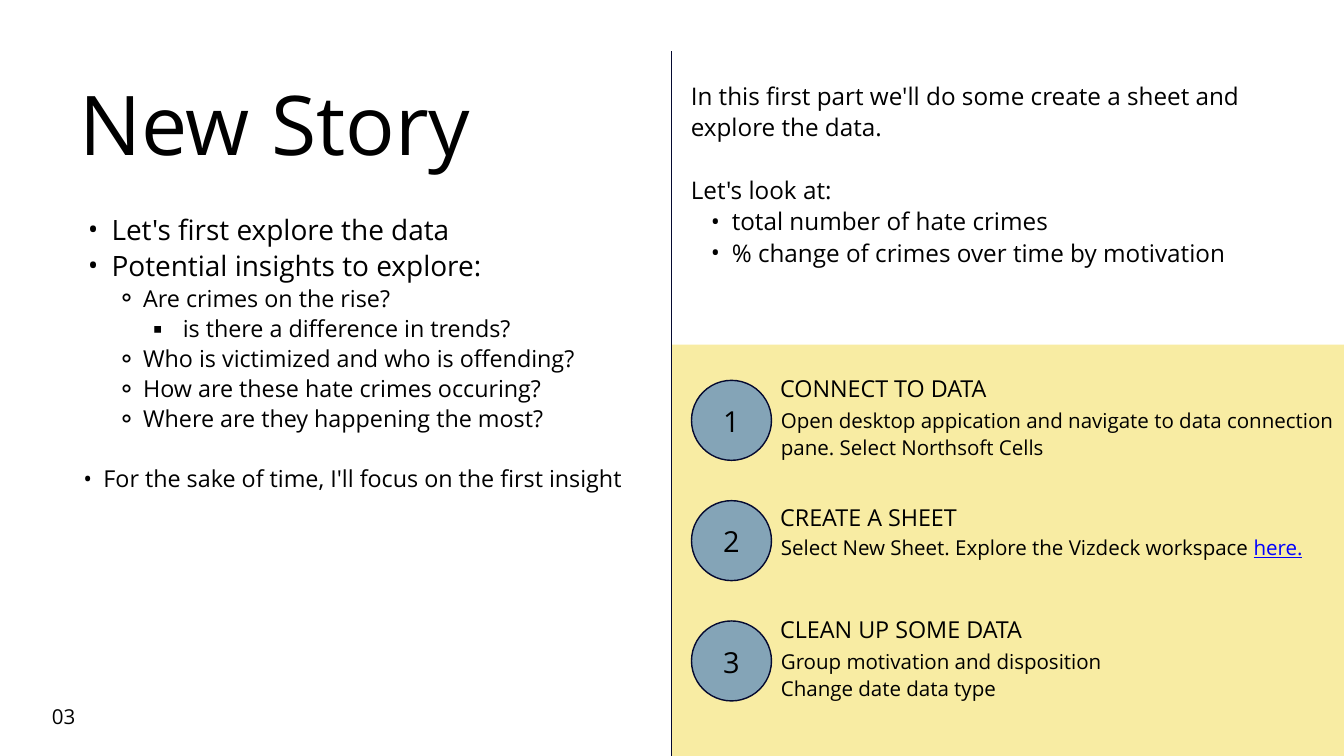
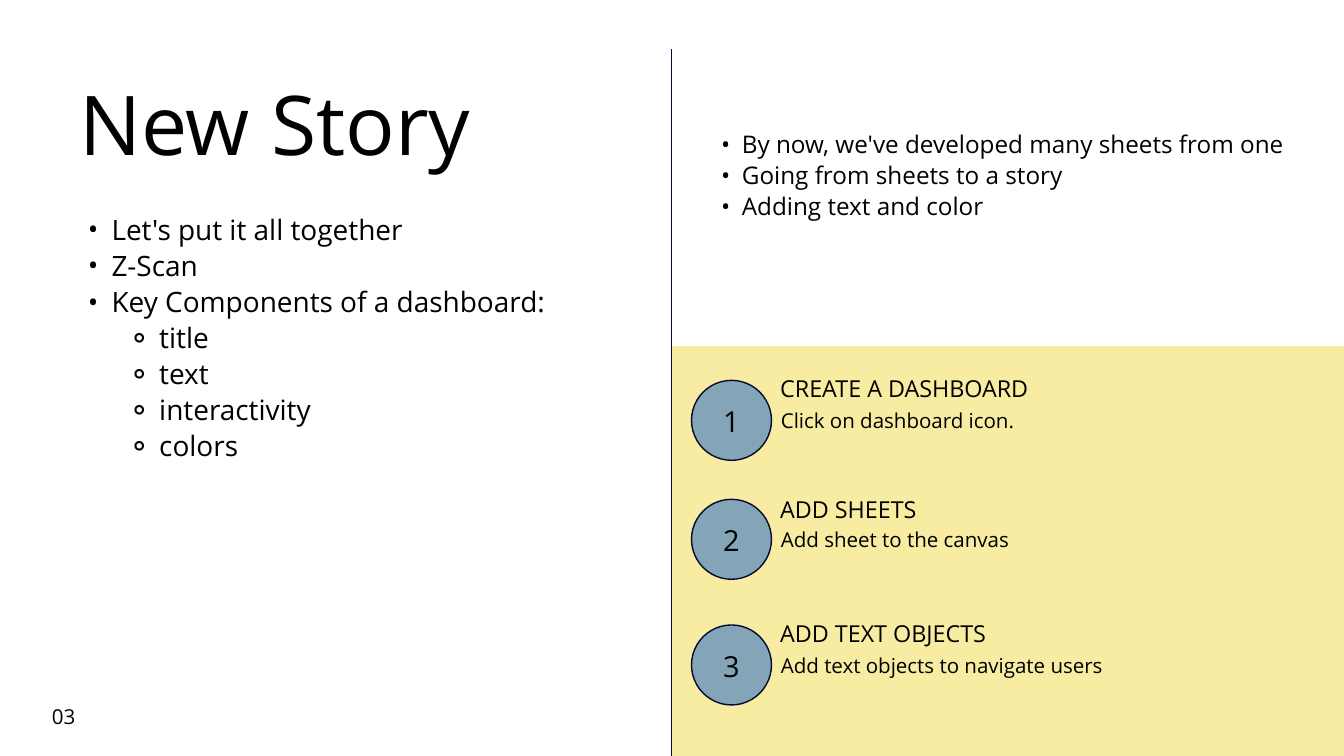
from dataclasses import dataclass

from lxml import etree
from pptx import Presentation
from pptx.dml.color import RGBColor
from pptx.enum.shapes import MSO_CONNECTOR, MSO_SHAPE
from pptx.enum.text import MSO_ANCHOR, MSO_AUTO_SIZE, PP_ALIGN
from pptx.oxml.ns import qn
from pptx.util import Inches, Pt

OVAL, RECTANGLE = MSO_SHAPE.OVAL, MSO_SHAPE.RECTANGLE
STRAIGHT = MSO_CONNECTOR.STRAIGHT
LEFT, CENTER = PP_ALIGN.LEFT, PP_ALIGN.CENTER
MIDDLE = MSO_ANCHOR.MIDDLE
GROW = MSO_AUTO_SIZE.SHAPE_TO_FIT_TEXT

WIDTH, HEIGHT = 20, 11.25
MIDLINE = 10
FONT = "Open Sans"
BLACK, NAVY, BLUE = "000000", "050A30", "84A4B7"
YELLOW, LINK_BLUE = "F8ECA3", "0000FF"


@dataclass
class Style:
    size: float
    spacing: float
    bullet: str = ""
    level: int = 0
    indent: float = 0
    hanging: float = 0
    align: PP_ALIGN = LEFT


TITLE = Style(88.3, 98.9)
POINT = Style(30, 38.7, "•", 1, 0.71, 0.35)
COMPONENT = Style(30, 38.7, "⚬", 2, 1.42, 0.47)
QUESTION = Style(25, 32.2, "⚬", 2, 1.18, 0.39)
FOLLOW_UP = Style(25, 32.2, "▪", 3, 1.77, 0.44)
FOCUS = Style(25, 32.2, "•", 1, 0.59, 0.3)
INTRO = Style(26, 33.5)
INTRO_POINT = Style(26, 33.5, "•", 1, 0.61, 0.31)
STEP_HEADING = Style(25, 32.2)
STEP_DETAIL = Style(22, 28.4)
STEP_NUMBER = Style(31, 43.4, align=CENTER)
PAGE_NUMBER = Style(22, 30.8, align=CENTER)


@dataclass
class Para:
    text: str
    style: Style
    gap: float = 0
    link: str = ""


@dataclass
class Step:
    circle_top: float
    heading_top: float
    detail_top: float
    heading: str
    details: list


def color(value):
    return RGBColor.from_string(value)


def add_run(paragraph, text, size, tint=BLACK, underline=None):
    run = paragraph.add_run()
    run.text = text
    formats = {"name": FONT, "size": Pt(size), "underline": underline}
    for attribute, value in formats.items():
        setattr(run.font, attribute, value)
    run.font.color.rgb = color(tint)


def add_bullet(paragraph, style):
    properties = paragraph._p.get_or_add_pPr()
    properties.set("marL", str(Inches(style.indent)))
    properties.set("indent", str(-Inches(style.hanging)))
    etree.SubElement(properties, qn("a:buFont")).set("typeface", FONT)
    etree.SubElement(properties, qn("a:buChar")).set("char", style.bullet)


def write(frame, paras):
    frame.word_wrap = True
    for index, para in enumerate(paras):
        style = para.style
        paragraph = frame.paragraphs[0] if index == 0 else frame.add_paragraph()
        formats = {
            "alignment": style.align,
            "level": style.level,
            "line_spacing": Pt(style.spacing),
            "space_before": Pt(para.gap),
        }
        for attribute, value in formats.items():
            setattr(paragraph, attribute, value)
        if style.bullet:
            add_bullet(paragraph, style)
        add_run(paragraph, para.text, style.size)
        if para.link:
            add_run(paragraph, para.link, style.size, LINK_BLUE, True)


def set_margins(frame, left=0, top=0, right=0, bottom=0):
    frame.margin_left, frame.margin_right = Inches(left), Inches(right)
    frame.margin_top, frame.margin_bottom = Inches(top), Inches(bottom)


def add_text(slide, left, top, width, height, paras):
    box = slide.shapes.add_textbox(*map(Inches, (left, top, width, height)))
    set_margins(box.text_frame)
    write(box.text_frame, paras)
    box.text_frame.auto_size = GROW


def add_filled(slide, kind, left, top, width, height, fill, outline=None):
    shape = slide.shapes.add_shape(kind, *map(Inches, (left, top, width, height)))
    shape.shadow.inherit = False
    shape.fill.solid()
    shape.fill.fore_color.rgb = color(fill)
    if outline:
        shape.line.color.rgb = color(outline)
        shape.line.width = Pt(1.5)
    else:
        shape.line.fill.background()
    return shape


def add_divider(slide, top):
    ends = map(Inches, (9.99, top, 9.99, HEIGHT))
    divider = slide.shapes.add_connector(STRAIGHT, *ends)
    divider.line.color.rgb = color(NAVY)
    divider.line.width = Pt(0.75)
    etree.SubElement(divider._element.spPr, qn("a:effectLst"))


def add_step(slide, number, step):
    circle = add_filled(slide, OVAL, 10.29, step.circle_top, 1.19, 1.19, BLUE, NAVY)
    frame = circle.text_frame
    set_margins(frame, bottom=0.07)
    frame.vertical_anchor = MIDDLE
    write(frame, [Para(str(number), STEP_NUMBER)])
    add_text(slide, 11.61, step.heading_top, 8.31, 0.44,
             [Para(step.heading, STEP_HEADING)])
    add_text(slide, 11.62, step.detail_top, 8.31, 0.38, step.details)


def add_story(deck, panel_top, divider_top, points, intro_at, intro, steps):
    slide = deck.slides.add_slide(deck.slide_layouts[6])
    # Panel and divider
    add_filled(slide, RECTANGLE, MIDLINE, panel_top, WIDTH - MIDLINE,
               HEIGHT - panel_top, YELLOW)
    add_divider(slide, divider_top)
    # Introduction on the right, title and points on the left
    add_text(slide, *intro_at, intro)
    add_text(slide, 1.18, 1.18, 7.52, 1.41, [Para("New Story", TITLE)])
    add_text(slide, 0.95, 3.12, 8.44, 4.5, points)
    # Page number
    add_text(slide, 0.77, 10.42, 0.35, 0.41, [Para("03", PAGE_NUMBER)])
    # Numbered steps
    for number, step in enumerate(steps, 1):
        add_step(slide, number, step)


def main():
    deck = Presentation()
    deck.slide_width, deck.slide_height = Inches(WIDTH), Inches(HEIGHT)

    # Exploring the data
    add_story(
        deck, 5.13, 0.76,
        points=[
            Para("Let's first explore the data", POINT),
            Para("Potential insights to explore:", POINT),
            Para("Are crimes on the rise?", QUESTION),
            Para("is there a difference in trends?", FOLLOW_UP),
            Para("Who is victimized and who is offending?", QUESTION),
            Para("How are these hate crimes occuring?", QUESTION),
            Para("Where are they happening the most?", QUESTION),
            Para("For the sake of time, I'll focus on the first insight",
                 FOCUS, gap=FOCUS.spacing),
        ],
        intro_at=(10.28, 1.18, 9.14, 2.8),
        intro=[
            Para("In this first part we'll do some create a sheet and "
                 "explore the data.", INTRO),
            Para("Let's look at:", INTRO, gap=INTRO.spacing),
            Para("total number of hate crimes", INTRO_POINT),
            Para("% change of crimes over time by motivation", INTRO_POINT),
        ],
        steps=[
            Step(5.66, 5.54, 6.05, "CONNECT TO DATA", [
                Para("Open desktop appication and navigate to data connection "
                     "pane. Select Northsoft Cells", STEP_DETAIL)]),
            Step(7.45, 7.46, 7.93, "CREATE A SHEET", [
                Para("Select New Sheet. Explore the Vizdeck workspace ",
                     STEP_DETAIL, link="here.")]),
            Step(9.24, 9.12, 9.63, "CLEAN UP SOME DATA", [
                Para("Group motivation and disposition", STEP_DETAIL),
                Para("Change date data type", STEP_DETAIL)]),
        ],
    )

    # Building the dashboard
    add_story(
        deck, 5.15, 0.73,
        points=[
            Para("Let's put it all together", POINT),
            Para("Z-Scan", POINT),
            Para("Key Components of a dashboard:", POINT),
            *(Para(part, COMPONENT)
              for part in ("title", "text", "interactivity", "colors")),
        ],
        intro_at=(10.43, 1.89, 9.14, 1.4),
        intro=[
            Para("By now, we've developed many sheets from one", INTRO_POINT),
            Para("Going from sheets to a story", INTRO_POINT),
            Para("Adding text and color", INTRO_POINT),
        ],
        steps=[
            Step(5.66, 5.54, 6.05, "CREATE A DASHBOARD",
                 [Para("Click on dashboard icon.", STEP_DETAIL)]),
            Step(7.43, 7.34, 7.81, "ADD SHEETS",
                 [Para("Add sheet to the canvas", STEP_DETAIL)]),
            Step(9.3, 9.19, 9.69, "ADD TEXT OBJECTS",
                 [Para("Add text objects to navigate users", STEP_DETAIL)]),
        ],
    )

    deck.save("out.pptx")


if __name__ == "__main__":
    main()
